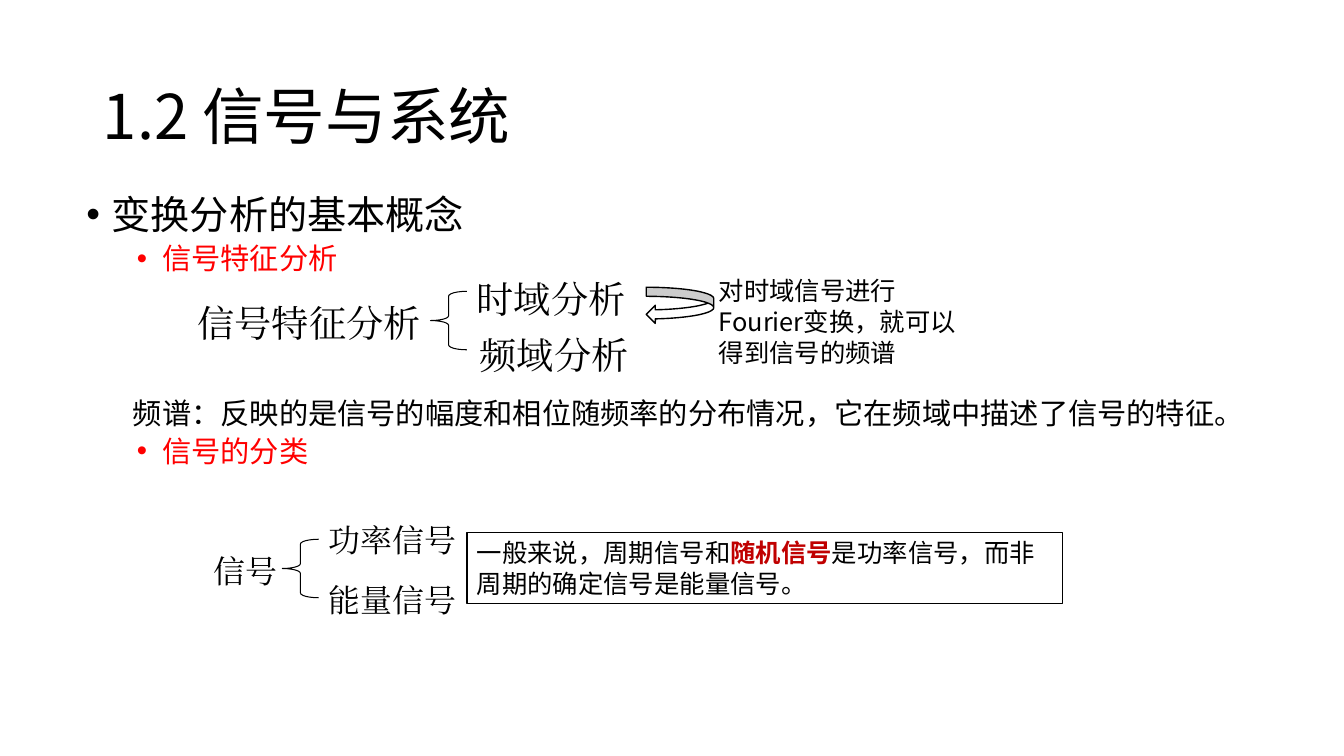
from lxml.etree import SubElement
from pptx import Presentation
from pptx.dml.color import RGBColor
from pptx.enum.shapes import MSO_SHAPE as Shape
from pptx.enum.text import MSO_ANCHOR as Anchor, PP_ALIGN as Align
from pptx.oxml.ns import qn
from pptx.util import Inches, Pt

COLORS = {"text": "000000", "topic": "FF0000", "stress": "C00000", "paper": "FFFFFF"}
SANS, SERIF = "Noto Sans CJK SC", "Times New Roman"


class SlideBuilder:
    def __init__(self, slide):
        self.slide = slide

    def color(self, name):
        return RGBColor.from_string(COLORS[name])

    def format_run(self, run, size, font=SANS, color="text", bold=False):
        """Style a run, with the same typeface for Latin and East Asian text."""
        run.font.size, run.font.bold, run.font.name = Pt(size), bold, font
        run.font.color.rgb = self.color(color)
        SubElement(run.font._element, qn("a:ea"), typeface=font)

    def place(self, shape, box):
        shape.left, shape.top, shape.width, shape.height = map(Inches, box)

    def title(self, text, box):
        title = self.slide.shapes.title
        self.place(title, box)
        frame = title.text_frame
        frame.text = text
        frame.vertical_anchor = Anchor.MIDDLE
        paragraph = frame.paragraphs[0]
        paragraph.alignment, paragraph.line_spacing = Align.LEFT, Pt(55)
        self.format_run(paragraph.runs[0], 44)

    def text_box(self, box):
        frame = self.slide.shapes.add_textbox(*map(Inches, box)).text_frame
        frame.word_wrap = True
        return frame

    def label(self, text, box, size, font=SERIF, leading=1.28):
        paragraph = self.text_box(box).paragraphs[0]
        paragraph.text = text
        paragraph.line_spacing = Pt(size * leading)
        self.format_run(paragraph.runs[0], size, font)

    def outline(self, items, box):
        """Items: text, size, colour, left margin, bulleted, line height, space before."""
        frame = self.text_box(box)
        for index, (text, size, color, margin, bullet, height, gap) in enumerate(items):
            paragraph = frame.add_paragraph() if index else frame.paragraphs[0]
            paragraph.text = text
            paragraph.line_spacing, paragraph.space_before = Pt(height), Pt(gap)
            properties = paragraph._p.get_or_add_pPr()
            properties.set("marL", str(Inches(margin)))
            properties.set("indent", str(Inches(-0.25 if bullet else 0)))
            if bullet:
                SubElement(properties, qn("a:buFont"), typeface="Arial")
                SubElement(properties, qn("a:buChar"), char="•")
            self.format_run(paragraph.runs[0], size, color=color)

    def shape(self, kind, box, line_width, fill=None):
        shape = self.slide.shapes.add_shape(kind, *map(Inches, box))
        shape.shadow.inherit = False
        shape.line.color.rgb, shape.line.width = self.color("text"), Pt(line_width)
        if fill:
            shape.fill.solid()
            shape.fill.fore_color.rgb = self.color(fill)
        else:
            shape.fill.background()
        return shape

    def brace(self, left, top):
        brace = self.shape(Shape.LEFT_BRACE, (left, top, 0.36, 0.58), 0.75)
        brace.adjustments[0] = 0.133

    def note(self, parts, box):
        """Framed remark; parts are (text, colour, bold)."""
        frame = self.shape(Shape.RECTANGLE, box, 1, "paper").text_frame
        frame.word_wrap, frame.vertical_anchor = True, Anchor.TOP
        paragraph = frame.paragraphs[0]
        paragraph.alignment, paragraph.line_spacing = Align.LEFT, Pt(22)
        for text, color, bold in parts:
            run = paragraph.add_run()
            run.text = text
            self.format_run(run, 18.1, color=color, bold=bold)


def main():
    presentation = Presentation()
    presentation.slide_width, presentation.slide_height = Inches(13.33), Inches(7.5)
    builder = SlideBuilder(presentation.slides.add_slide(presentation.slide_layouts[5]))

    builder.title("1.2 信号与系统", (0.92, 0.4, 11.5, 1.45))
    builder.outline([
        ("变换分析的基本概念", 28, "text", 0.25, True, 33, 0),
        ("信号特征分析", 20.9, "topic", 0.75, True, 22, 5),
        ("频谱：反映的是信号的幅度和相位随频率的分布情况，它在频域中描述了信号的特征。",
         20.9, "text", 0.46, False, 22, 88.5),
        ("信号的分类", 20.9, "topic", 0.75, True, 22, 5),
    ], (0.76, 1.85, 12.13, 5.19))

    for text, left, top, width in [("信号特征分析", 1.86, 2.9, 2.62),
                                   ("时域分析", 4.63, 2.66, 2.62),
                                   ("频域分析", 4.66, 3.22, 1.87)]:
        builder.label(text, (left, top, width, 0.55), 26.6)
    builder.brace(4.27, 2.89)
    builder.shape(Shape.CURVED_LEFT_ARROW, (6.41, 2.85, 0.67, 0.36), 1, "paper")
    builder.label("对时域信号进行Fourier变换，就可以得到信号的频谱",
                  (7.03, 2.68, 2.62, 1.02), 18.1, SANS, 1.21)

    for text, left, top, width in [("信号", 2.02, 5.4, 1.01),
                                   ("功率信号", 3.16, 5.09, 6.73),
                                   ("能量信号", 3.16, 5.69, 6.73)]:
        builder.label(text, (left, top, width, 0.48), 22.8)
    builder.brace(2.8, 5.35)
    builder.note([("一般来说，周期信号和", "text", False),
                  ("随机信号", "stress", True),
                  ("是功率信号，而非周期的确定信号是能量信号。", "text", False)],
                 (4.63, 5.28, 5.91, 0.71))

    presentation.save("out.pptx")


if __name__ == "__main__":
    main()
